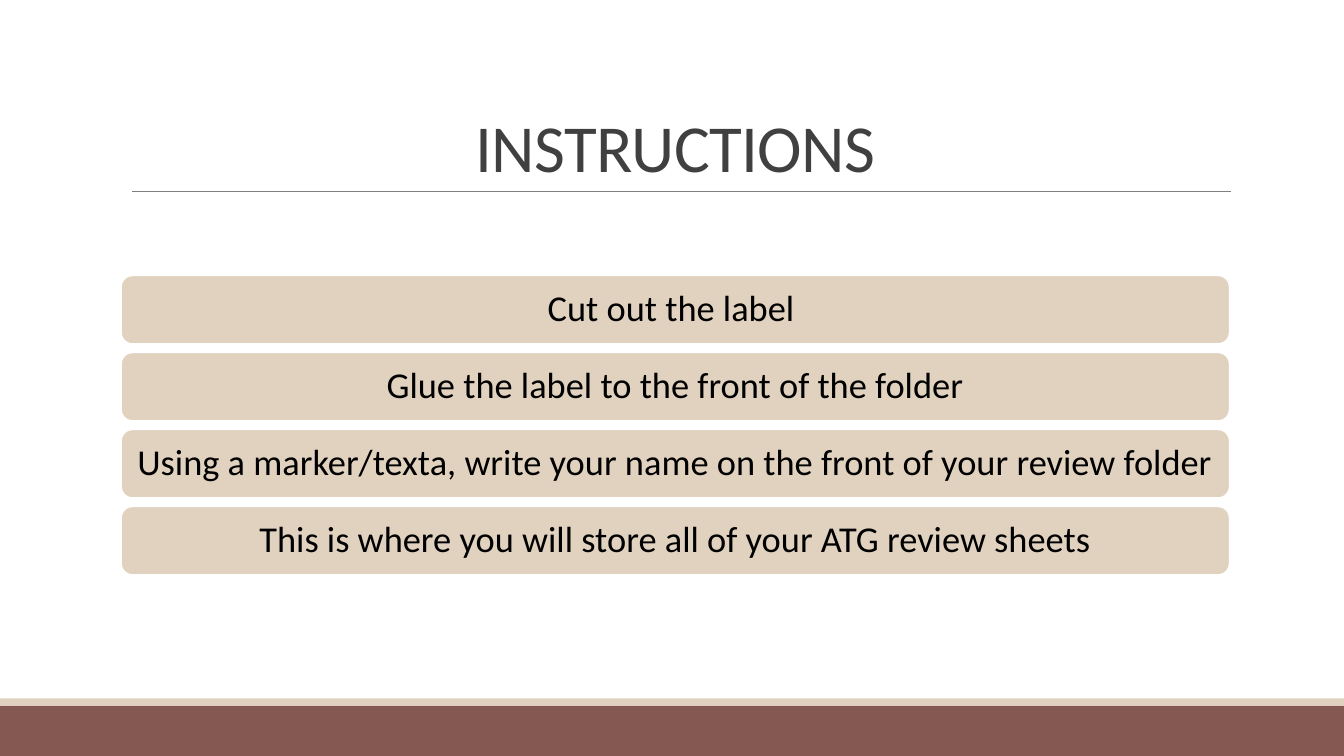
from dataclasses import dataclass

from lxml.etree import SubElement
from pptx import Presentation
from pptx.dml.color import RGBColor
from pptx.enum.shapes import MSO_CONNECTOR, MSO_SHAPE
from pptx.enum.text import MSO_ANCHOR, PP_ALIGN
from pptx.oxml.ns import qn
from pptx.shapes.autoshape import Shape
from pptx.slide import Slide
from pptx.util import Cm, Pt

SAND = "E1D2BF"
BROWN = "865852"
WHITE = "FFFFFF"
CONTENT_LEFT = 3.05
CONTENT_WIDTH = 27.94
STEP_TOP = 6.94
STEP_HEIGHT = 1.73
STEP_PITCH = 1.94


@dataclass
class Box:
    left: float
    top: float
    width: float
    height: float
    fill: str
    kind: MSO_SHAPE = MSO_SHAPE.RECTANGLE
    outline: str | None = None


def color(value: str) -> RGBColor:
    return RGBColor.from_string(value)


def add_box(slide: Slide, box: Box) -> Shape:
    shape = slide.shapes.add_shape(
        box.kind, Cm(box.left), Cm(box.top), Cm(box.width), Cm(box.height))
    shape.shadow.inherit = False
    shape.fill.solid()
    shape.fill.fore_color.rgb = color(box.fill)
    if box.outline:
        shape.line.color.rgb = color(box.outline)
        shape.line.width = Pt(1.25)
    else:
        shape.line.fill.background()
    return shape


def write_text(shape: Shape, text: str, *, size: float, ink: str,
               line_spacing: float, anchor: MSO_ANCHOR,
               inset: float | None = None, tracking: int = 0) -> None:
    frame = shape.text_frame
    frame.word_wrap = True
    frame.vertical_anchor = anchor
    if inset is not None:
        frame.margin_left = frame.margin_right = Cm(inset)
        frame.margin_top = frame.margin_bottom = Cm(inset)
    paragraph = frame.paragraphs[0]
    paragraph.alignment = PP_ALIGN.CENTER
    paragraph.line_spacing = line_spacing
    run = paragraph.add_run()
    run.text = text
    run.font.name = "Calibri"
    run.font.size = Pt(size)
    run.font.color.rgb = color(ink)
    if tracking:
        run.font._element.set("spc", str(tracking))


def add_rule(slide: Slide, left: float, right: float, top: float) -> None:
    rule = slide.shapes.add_connector(
        MSO_CONNECTOR.STRAIGHT, Cm(left), Cm(top), Cm(right), Cm(top))
    rule.line.color.rgb = color("808080")
    rule.line.width = Pt(0.5)
    SubElement(rule._element.spPr, qn("a:effectLst"))


def main() -> None:
    presentation = Presentation()
    presentation.slide_width = Cm(33.87)
    presentation.slide_height = Cm(19.05)
    slide = presentation.slides.add_slide(presentation.slide_layouts[6])

    # Footer bands
    add_box(slide, Box(0, 17.78, 33.87, 1.27, BROWN))
    add_box(slide, Box(0, 17.6, 33.87, 0.18, SAND))

    # Title and rule
    add_rule(slide, 3.33, 31.01, 4.83)
    title = slide.shapes.add_textbox(
        Cm(CONTENT_LEFT), Cm(0.79), Cm(CONTENT_WIDTH), Cm(4.04))
    write_text(title, "INSTRUCTIONS", size=48, ink="404040",
               line_spacing=0.85, anchor=MSO_ANCHOR.BOTTOM, tracking=-50)

    # Steps
    steps = [
        "Cut out the label ",
        "Glue the label to the front of the folder",
        "Using a marker/texta, write your name on the front of your review folder",
        "This is where you will store all of your ATG review sheets",
    ]
    for index, step in enumerate(steps):
        bar = add_box(slide, Box(
            CONTENT_LEFT, STEP_TOP + index * STEP_PITCH, CONTENT_WIDTH,
            STEP_HEIGHT, SAND, MSO_SHAPE.ROUNDED_RECTANGLE, WHITE))
        write_text(bar, step, size=26, ink="000000", line_spacing=0.9,
                   anchor=MSO_ANCHOR.MIDDLE, inset=0.26)

    presentation.save("out.pptx")


if __name__ == "__main__":
    main()
